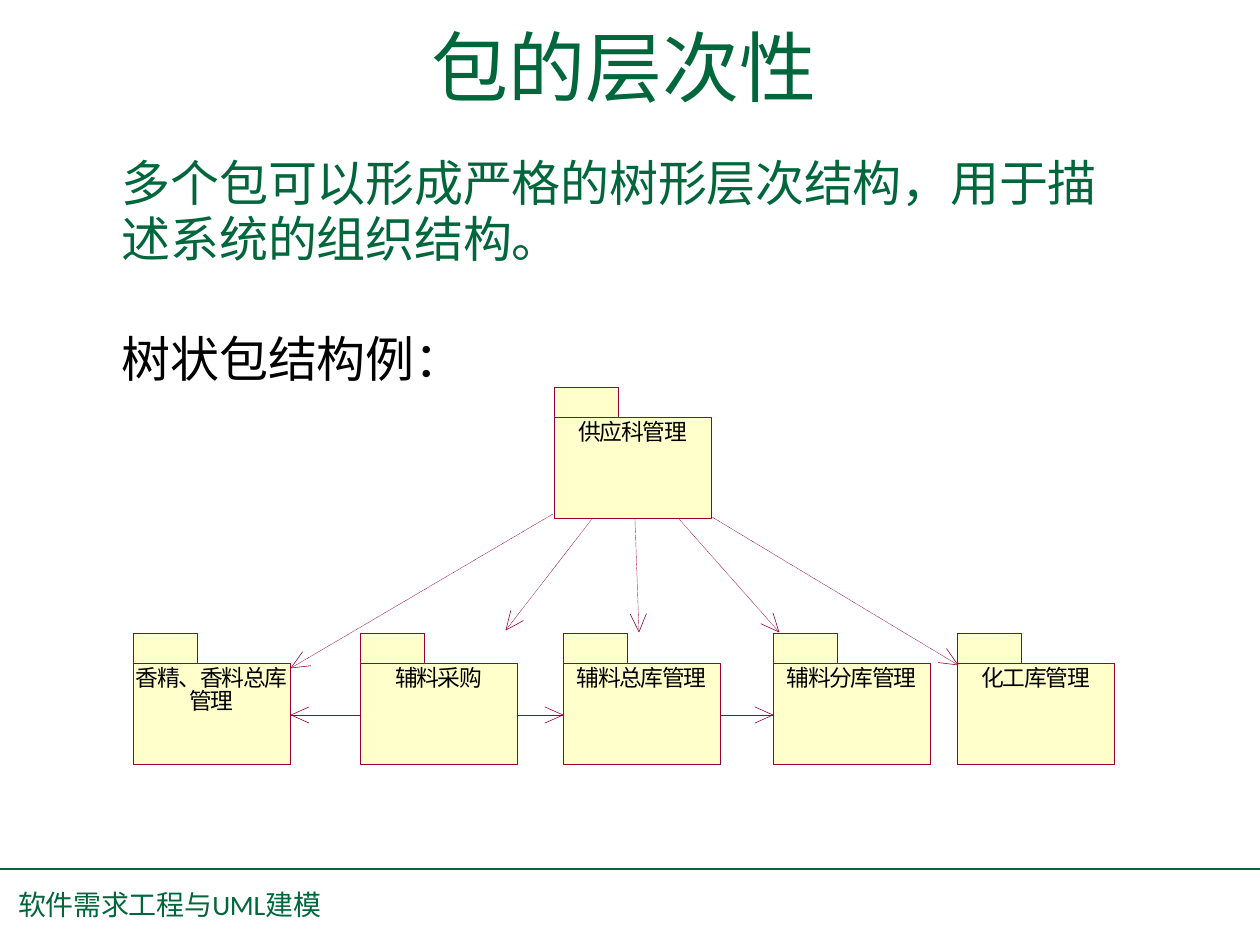
"""Build the slide on the hierarchy of UML packages."""
import math

from lxml import etree
from pptx import Presentation, util as u
from pptx.dml.color import RGBColor
from pptx.enum import dml, shapes, text
from pptx.oxml.ns import qn

PX = 914400 / 126
FONT = "Noto Sans CJK SC"
COLORS = {"green": "00663B", "black": "000000", "cream": "FFFFCC", "wine": "990033"}


def add_line(x1, y1, x2, y2, color, width):
    ends = [round(v * PX) for v in (x1, y1, x2, y2)]
    c = s.shapes.add_connector(shapes.MSO_CONNECTOR.STRAIGHT, *ends)
    c.line.color.rgb = RGBColor.from_string(COLORS[color])
    c.line.width = u.Pt(width)
    etree.SubElement(c._element.spPr, qn("a:effectLst"))
    return c


def write(sp, paragraphs, size, spc, top=0, spacing=None, wrap=True):
    tf = sp.text_frame
    tf.word_wrap = wrap
    tf.vertical_anchor = text.MSO_ANCHOR.TOP
    tf.margin_left = tf.margin_right = tf.margin_bottom = 0
    tf.margin_top = round(top * PX)
    for i, (words, color) in enumerate(paragraphs):
        p = tf.add_paragraph() if i else tf.paragraphs[0]
        for part in words.partition("UML"):
            if part == "UML":
                r = p.add_run()
                r.text = part
                r.font.name = "Calibri"
            elif part:
                for j, row in enumerate(part.split("\n")):
                    if j:
                        p.add_line_break()
                    p.add_run().text = row
        if spacing:
            p.line_spacing = u.Pt(spacing)
        p.font.size = u.Pt(size)
        p.font.name = FONT
        p.font.color.rgb = RGBColor.from_string(COLORS[color])
        props = p._p.pPr.find(qn("a:defRPr"))
        props.set("spc", str(spc))
        etree.SubElement(props, qn("a:ea"), typeface=FONT)
    return tf


prs = Presentation()
prs.slide_width, prs.slide_height = u.Inches(10), u.Inches(7.5)
s = prs.slides.add_slide(prs.slide_layouts[6])

add_line(0, 869, 1260, 869, "green", 1)

title = s.shapes.add_textbox(*[round(v * PX) for v in (432, 20, 392, 96)])
write(title, [("包的层次性", "green")], 44, 0)

packages = [
    ("香精、香料总库\n管理", 133, 663),
    ("辅料采购", 360, 663),
    ("辅料总库管理", 563, 663),
    ("辅料分库管理", 773, 663),
    ("供应科管理", 554, 417),
    ("化工库管理", 957, 663),
]
for name, x, y in packages:
    for box in ((x, y - 30, 64, 30), (x, y, 157, 101)):
        sp = s.shapes.add_shape(shapes.MSO_SHAPE.RECTANGLE, *[round(v * PX) for v in box])
        sp.shadow.inherit = False
        sp.fill.solid()
        sp.fill.fore_color.rgb = RGBColor.from_string(COLORS["cream"])
        sp.line.color.rgb = RGBColor.from_string(COLORS["wine"])
        sp.line.width = u.Pt(0.33)
    tf = write(sp, [(name, "black")], 13, -70, top=5, spacing=13.3, wrap=False)
    tf.paragraphs[0].alignment = text.PP_ALIGN.CENTER

dependencies = [
    (592, 519, 506, 630),
    (635, 519, 639, 632),
    (679, 519, 779, 632),
    (712, 517, 958, 665),
    (518, 715, 563, 715),
    (720, 715, 773, 715),
    (553, 514, 291, 668),
    (360, 715, 291, 715),
]
for x1, y1, x2, y2 in dependencies:
    shaft = add_line(x1, y1, x2, y2, "wine", 0.25)
    shaft.line.dash_style = dml.MSO_LINE.ROUND_DOT
    back = math.atan2(y1 - y2, x1 - x2)
    for turn in (-24, 24):
        angle = back + math.radians(turn)
        add_line(x2, y2, x2 + 20 * math.cos(angle), y2 + 20 * math.sin(angle), "wine", 0.33)

body = s.shapes.add_textbox(*[round(v * PX) for v in (122, 147, 983, 246)])
tf = write(body, [
    ("多个包可以形成严格的树形层次结构，用于描述系统的组织结构。", "green"),
    ("树状包结构例：", "black"),
], 28, -10, top=8, spacing=32)
tf.paragraphs[1].space_before = u.Pt(36.5)

footer = s.shapes.add_textbox(*[round(v * PX) for v in (18, 891, 307, 34)])
write(footer, [("软件需求工程与UML建模", "green")], 16, -10, spacing=17)

prs.save("out.pptx")
